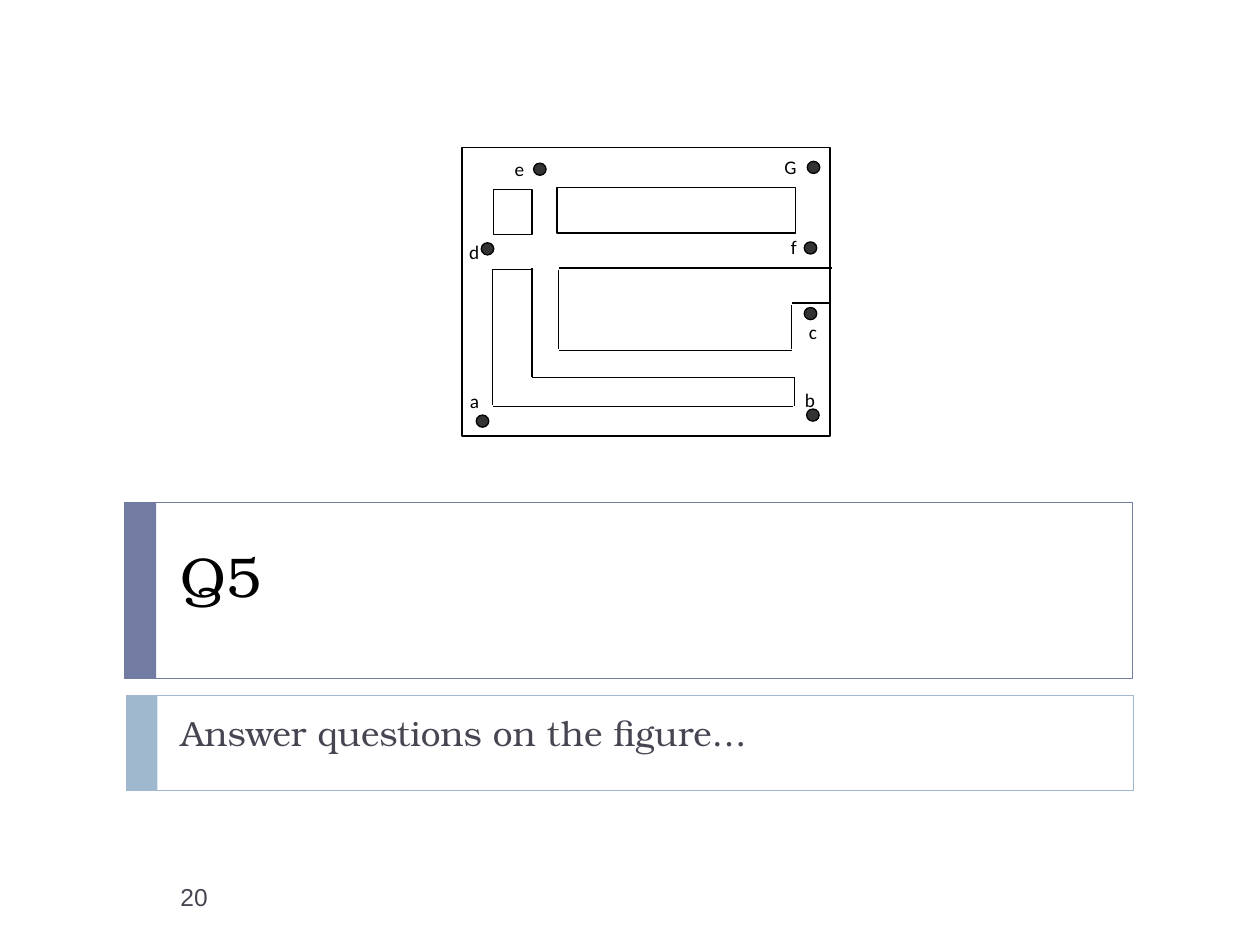
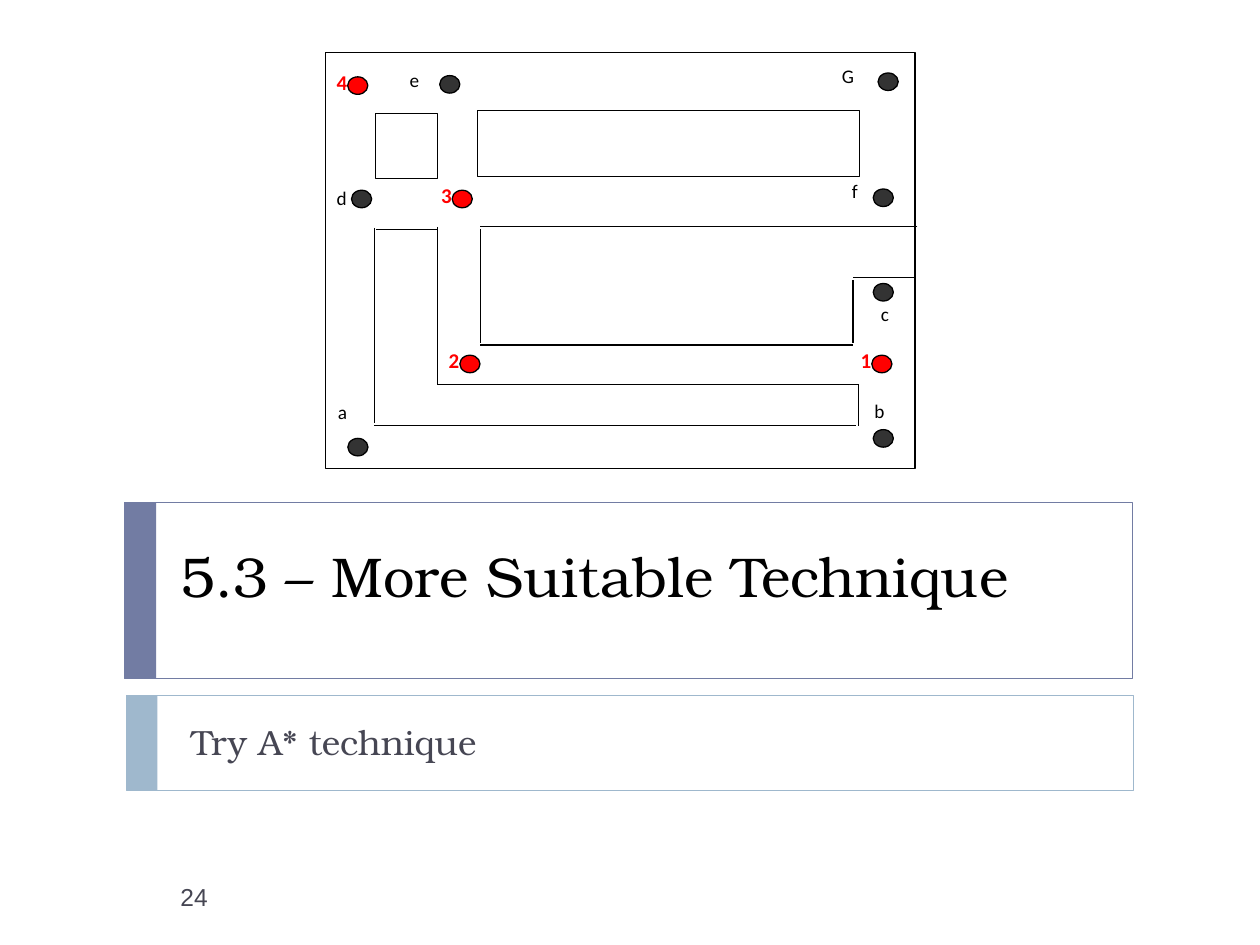
import pptx
import pptx.util
import pptx.dml.color
import pptx.enum.shapes
import pptx.enum.text
import pptx.oxml.ns
import lxml.etree

Pt = pptx.util.Pt
SHAPE = pptx.enum.shapes.MSO_SHAPE
COLORS = {"indigo": "727CA3", "sky": "9FB8CD", "slate": "464653", "black": "000000",
          "white": "FFFFFF", "dot": "333333", "red": "FF0000"}
SERIF = "TeX Gyre Bonum"
TITLE = {"name": SERIF, "size": Pt(32), "color": "black"}
SUBTITLE = {"name": SERIF, "size": Pt(20), "color": "slate"}
NUMBER = {"name": "Arial", "size": Pt(14), "color": "slate"}
LETTER = {"name": "Calibri", "size": Pt(11), "color": "black"}
STEP = {"name": "Calibri", "size": Pt(12), "bold": True, "color": "red"}

# Floor plan, in points from the top left corner of its frame at full size
PLAN_SIZE = (337, 237.6)
DOT_SIZE = (11.5, 10)
LABEL_SIZE = (13, 17.3)
ROOMS = [(87.1, 33.1, 218.2, 37.4), (28.8, 34.5, 35.3, 37.4)]
WALLS = [
    (338.4, 99.4, 88.6, 99.4), (88.6, 100.8, 88.6, 165.6), (88.6, 167, 301.7, 167),
    (301.7, 165.6, 301.7, 129.6), (301.7, 128.2, 337, 128.2),
    (64.1, 100.8, 28.8, 100.8), (64.1, 99.4, 64.1, 189), (64.1, 189.4, 304.6, 189.4),
    (304.6, 189.4, 304.6, 213), (28.1, 100, 28.1, 211.7), (303.1, 213, 28.1, 213)]
LETTERS = {"a": (7.2, 198.7), "b": (313.9, 198), "c": (317.5, 142.6), "d": (6.5, 76.3),
           "G": (295.2, 6.5), "e": (48.2, 8.6), "f": (301, 72)}
DOTS = {"a": (13, 220.3), "b": (313.2, 215.3), "d": (15.1, 78.5), "e": (65.5, 13),
        "c": (313.2, 131.8), "f": (313.2, 77.8), "G": (316, 11.5)}
STEPS = {"1": (306, 168.5), "2": (70.6, 168.5), "3": (66.2, 74.2), "4": (6.5, 9.4)}
STEP_DOT_SHIFT = (6.4, 4.3)


def rgb(name):
    return pptx.dml.color.RGBColor.from_string(COLORS[name])


class Builder:
    """Holds the deck, the current slide and the shapes being drawn into."""

    def __init__(self):
        self.deck = pptx.Presentation()
        self.deck.slide_width, self.deck.slide_height = Pt(720), Pt(540)

    def add_words(self, shape, text, style, inset=(7.2, 3.6), before=0):
        frame = shape.text_frame
        across, down = map(Pt, inset)
        settings = {"margin_left": across, "margin_right": across,
                    "margin_top": down, "margin_bottom": down, "word_wrap": True,
                    "auto_size": pptx.enum.text.MSO_AUTO_SIZE.NONE,
                    "vertical_anchor": pptx.enum.text.MSO_ANCHOR.TOP}
        for key, value in settings.items():
            setattr(frame, key, value)
        para = frame.paragraphs[0]
        para.alignment = pptx.enum.text.PP_ALIGN.LEFT
        para.space_before = Pt(before)
        span = para.add_run()
        span.text = text
        for key, value in style.items():
            if key == "color":
                span.font.color.rgb = rgb(value)
            else:
                setattr(span.font, key, value)

    def shape(self, place, fill=None, line=None, width=0.75, kind=SHAPE.RECTANGLE):
        box = self.canvas.add_shape(kind, *map(Pt, place))
        box.shadow.inherit = False
        if fill:
            box.fill.solid()
            box.fill.fore_color.rgb = rgb(fill)
        else:
            box.fill.background()
        if line:
            box.line.color.rgb = rgb(line)
            box.line.width = Pt(width)
        else:
            box.line.fill.background()
        return box

    def line(self, ends):
        wall = self.canvas.add_connector(
            pptx.enum.shapes.MSO_CONNECTOR.STRAIGHT, *map(Pt, ends))
        wall.line.color.rgb = rgb("black")
        wall.line.width = Pt(0.75)
        lxml.etree.SubElement(wall._element.spPr, pptx.oxml.ns.qn("a:effectLst"))

    def placeholder(self, holder, place, text, style, before=0):
        for key, value in zip(("left", "top", "width", "height"), place):
            setattr(holder, key, Pt(value))
        self.add_words(holder, text, style, before=before)

    def slide(self, title, subtitle, subtitle_place, number):
        self.page = self.deck.slides.add_slide(self.deck.slide_layouts[0])
        self.canvas = self.page.shapes
        # Outlined bands with a solid tab on the left
        for color, left, top, height in (("indigo", 71.2, 287.2, 100.8),
                                         ("sky", 72, 397.4, 54.2)):
            self.shape((left, top, 576, height), line=color, width=0.5)
            self.shape((left, top, 18, height), fill=color)
        # Text in the bands; the placeholders go in front of them
        holders = list(self.page.placeholders)
        for holder in holders:
            self.canvas._spTree.append(holder._element)
        self.placeholder(holders[0], (96, 306, 540, 78), title, TITLE)
        self.placeholder(holders[1], subtitle_place, subtitle, SUBTITLE, before=6)
        # Page number
        box = self.canvas.add_textbox(*map(Pt, (96, 500.4, 96, 28.8)))
        self.add_words(box, number, NUMBER)

    def plan(self, left, top, width, height, steps=None, moved_dots=None):
        """Draw the floor plan as one group, stretched to the given frame."""
        across, down = width / PLAN_SIZE[0], height / PLAN_SIZE[1]

        def scale(x, y):
            return left + x * across, top + y * down

        def area(corner, size):
            return *scale(*corner), size[0] * across, size[1] * down

        def dot(corner, color):
            self.shape(area(corner, DOT_SIZE), color, "black", kind=SHAPE.OVAL)

        self.canvas = self.page.shapes.add_group_shape().shapes
        # Frame, rooms and walls
        self.shape((left, top, width, height), "white", "black")
        for room in ROOMS:
            self.shape(area(room[:2], room[2:]), "white", "black")
        for wall in WALLS:
            self.line((*scale(*wall[:2]), *scale(*wall[2:])))
        # Lettered places
        for letter, corner in LETTERS.items():
            label = self.shape(area(corner, LABEL_SIZE), "white")
            self.add_words(label, letter, LETTER, inset=(0, 0))
        for corner in {**DOTS, **(moved_dots or {})}.values():
            dot(corner, "dot")
        # Numbered steps
        for step, (x, y) in (steps or {}).items():
            label = self.canvas.add_textbox(*map(Pt, area((x, y), LABEL_SIZE)))
            self.add_words(label, step, STEP, inset=(0, 0))
            dot((x + STEP_DOT_SHIFT[0], y + STEP_DOT_SHIFT[1]), "red")


def main():
    builder = Builder()

    # Question
    builder.slide("Q5", "Answer questions on the figure…", (96, 403.2, 540, 42), "20")
    builder.plan(264, 84.2, 210.4, 165,
                 moved_dots={"b": (315.4, 215.3), "d": (17.6, 78.5)})

    # Answer with the extra steps
    builder.slide("5.3 – More Suitable Technique", "Try A* technique",
                  (102, 408, 504, 36), "24")
    builder.plan(185.8, 30.2, *PLAN_SIZE, steps=STEPS)

    builder.deck.save("out.pptx")


if __name__ == "__main__":
    main()
